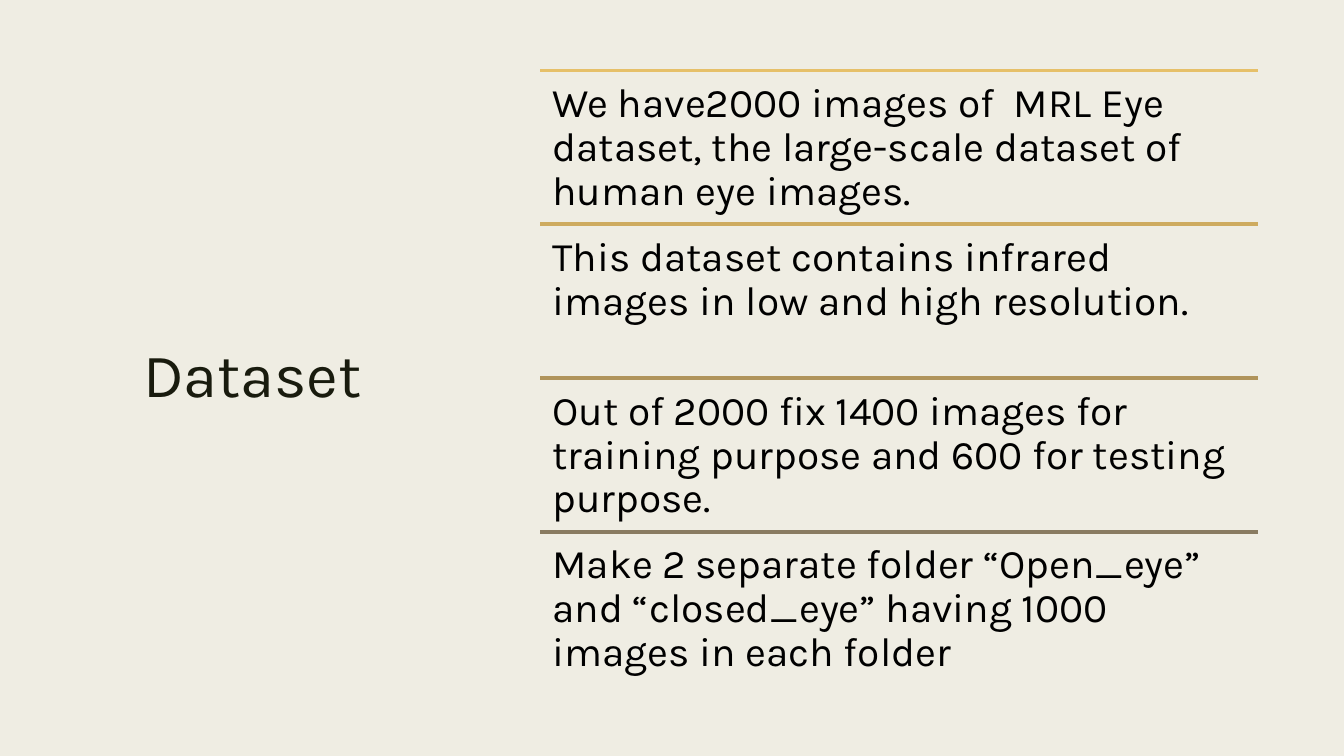
from pptx import Presentation
from pptx.dml.color import RGBColor
from pptx.enum.shapes import MSO_CONNECTOR
from pptx.enum.text import MSO_ANCHOR, MSO_AUTO_SIZE, PP_ALIGN
from pptx.oxml.ns import qn
from pptx.util import Pt
from lxml.etree import SubElement

CREAM = RGBColor(0xEF, 0xED, 0xE3)
INK = RGBColor(0x19, 0x1B, 0x0E)
BLACK = RGBColor(0, 0, 0)
GOLD = RGBColor(0xE6, 0xC0, 0x69)
SAND = RGBColor(0xCE, 0xAB, 0x5F)
BRONZE = RGBColor(0xB0, 0x94, 0x5B)
TAUPE = RGBColor(0x89, 0x7B, 0x61)

LEFT, TOP, WIDTH, STEP = 385.9, 50.4, 512.6, 109.8

FACTS = [
    (GOLD, "We have2000 images of  MRL Eye dataset, the large-scale dataset of human eye images."),
    (SAND, "This dataset contains infrared images in low and high resolution."),
    (BRONZE, "Out of 2000 fix 1400 images for training purpose and 600 for testing purpose."),
    (TAUPE, "Make 2 separate folder “Open_eye” and “closed_eye” having 1000 images in each folder"),
]


class Deck:
    font = "Karla"

    def __init__(self):
        self.file = Presentation()
        self.file.slide_width = Pt(960)
        self.file.slide_height = Pt(540)
        self.slide = self.file.slides.add_slide(self.file.slide_layouts[5])
        fill = self.slide.background.fill
        fill.solid()
        fill.fore_color.rgb = CREAM

    def style(self, frame, text, size, color, spacing):
        frame.word_wrap = True
        frame.auto_size = MSO_AUTO_SIZE.NONE
        frame.text = text
        para = frame.paragraphs[0]
        para.line_spacing = spacing
        para.font.name = self.font
        para.font.size = Pt(size)
        para.font.color.rgb = color
        return para

    def title(self, text, left, top, width, height):
        shape = self.slide.shapes.title
        shape.left, shape.top = Pt(left), Pt(top)
        shape.width, shape.height = Pt(width), Pt(height)
        frame = shape.text_frame
        frame.vertical_anchor = MSO_ANCHOR.MIDDLE
        para = self.style(frame, text, 44, INK, 0.89)
        para.alignment = PP_ALIGN.CENTER

    def rule(self, left, top, width, color):
        line = self.slide.shapes.add_connector(
            MSO_CONNECTOR.STRAIGHT, Pt(left), Pt(top), Pt(left + width), Pt(top))
        line.line.color.rgb = color
        line.line.width = Pt(2.75)
        SubElement(line._element.spPr, qn("a:effectLst"))

    def text(self, text, left, top, width, height):
        box = self.slide.shapes.add_textbox(Pt(left), Pt(top), Pt(width), Pt(height))
        frame = box.text_frame
        frame.margin_left = frame.margin_right = Pt(8.7)
        frame.margin_top = frame.margin_bottom = Pt(8.7)
        self.style(frame, text, 29, BLACK, 0.9)

    def save(self):
        self.file.save("out.pptx")


def main():
    deck = Deck()
    deck.title("Dataset", 50.4, 50.4, 260, 439.2)
    for row, (color, fact) in enumerate(FACTS):
        top = TOP + row * STEP
        deck.rule(LEFT, top, WIDTH, color)
        deck.text(fact, LEFT, top, WIDTH, STEP)
    deck.save()


if __name__ == "__main__":
    main()
